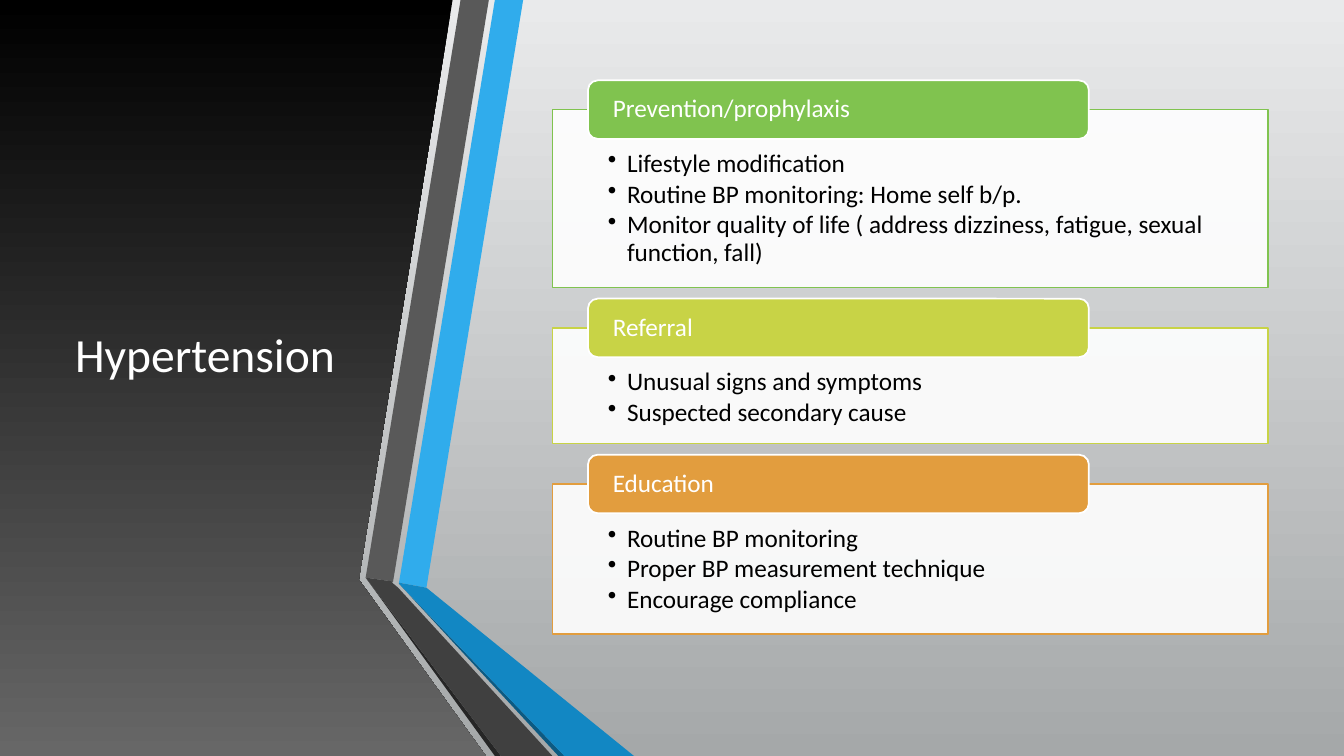
import pptx
import pptx.dml.color
import pptx.enum.shapes
import pptx.enum.text
import pptx.oxml
import pptx.oxml.ns
import pptx.util

Pt = pptx.util.Pt
RGBColor = pptx.dml.color.RGBColor
ShapeKind = pptx.enum.shapes.MSO_SHAPE
Align = pptx.enum.text.PP_ALIGN
Anchor = pptx.enum.text.MSO_ANCHOR

WHITE = RGBColor(0xFF, 0xFF, 0xFF)
BLACK = RGBColor(0x00, 0x00, 0x00)
MIST = RGBColor(0xE9, 0xEA, 0xEB)
STEEL = RGBColor(0xA5, 0xA8, 0xA9)
ASH = RGBColor(0x67, 0x67, 0x67)
SKY = RGBColor(0x30, 0xAC, 0xEC)
OCEAN = RGBColor(0x12, 0x87, 0xC3)
NAVY = RGBColor(0x0C, 0x5A, 0x82)
GRAY = RGBColor(0x59, 0x59, 0x59)
CHARCOAL = RGBColor(0x40, 0x40, 0x40)
SOOT = RGBColor(0x26, 0x26, 0x26)
GREEN = RGBColor(0x80, 0xC3, 0x4F)
LIME = RGBColor(0xC8, 0xD3, 0x46)
ORANGE = RGBColor(0xE2, 0x9D, 0x3E)

WIDTH, HEIGHT = 960, 540

# Folded ribbon, from back to front
RIBBON = [
    (SKY, [(285, 416.2), (304.6, 419.8), (373.7, 0), (353.5, 0)]),
    (GRAY, [(349.2, 0), (329, 0), (261.2, 412.6), (280.8, 415.4)]),
    (SOOT, [(261.2, 412.6), (353.5, HEIGHT), (357.8, HEIGHT)]),
    (NAVY, [(285, 416.9), (398.9, HEIGHT), (403.2, HEIGHT)]),
    (OCEAN, [(285, 416.9), (403.2, HEIGHT), (452.9, HEIGHT),
             (304.6, 419.8), (285, 416.2)]),
    (CHARCOAL, [(394.6, HEIGHT), (284.4, 419.8), (280.1, 416.2),
                (280.8, 415.4), (261.2, 412.6), (357.8, HEIGHT)]),
]
PANEL = [(0, 0), (323.3, 0), (256.3, 414), (347, HEIGHT), (0, HEIGHT)]

# Heading, colour, body height, bullets
CARDS = [
    ("Prevention/prophylaxis", GREEN, 127.1, [
        "Lifestyle modification",
        "Routine BP monitoring: Home self b/p.",
        "Monitor quality of life ( address dizziness, fatigue, sexual function, fall)"]),
    ("Referral", LIME, 82.7, [
        "Unusual signs and symptoms",
        "Suspected secondary cause"]),
    ("Education", ORANGE, 107, [
        "Routine BP monitoring",
        "Proper BP measurement technique",
        "Encourage compliance"]),
]
CARDS_TOP, CARD_GAP = 78.3, 28.8


class SlideBuilder:
    font_name = "Calibri"
    body_size = 18
    outline = 1.25
    bullet_indent = 13.7

    def __init__(self, presentation):
        self.slide = presentation.slides.add_slide(presentation.slide_layouts[6])

    def gradient(self, fill, top, bottom):
        fill.gradient()
        fill.gradient_angle = 270
        for stop, color in zip(fill.gradient_stops, (top, bottom)):
            stop.color.rgb = color

    def polygon(self, points, color=None):
        corners = [(Pt(x), Pt(y)) for x, y in points]
        builder = self.slide.shapes.build_freeform(*corners[0])
        builder.add_line_segments(corners[1:], close=True)
        shape = builder.convert_to_shape()
        shape.shadow.inherit = False
        shape.line.fill.background()
        if color is not None:
            shape.fill.solid()
            shape.fill.fore_color.rgb = color
        return shape

    def box(self, kind, bounds, fill, line):
        shape = self.slide.shapes.add_shape(kind, *map(Pt, bounds))
        shape.shadow.inherit = False
        shape.fill.solid()
        shape.fill.fore_color.rgb = fill
        shape.line.color.rgb = line
        shape.line.width = Pt(self.outline)
        return shape

    def set_text(self, shape, lines, color, size=body_size, align=Align.LEFT,
                 anchor=Anchor.MIDDLE, insets=(7.2, 3.6, 7.2, 3.6), bullets=False):
        frame = shape.text_frame
        frame.word_wrap = True
        frame.vertical_anchor = anchor
        (frame.margin_left, frame.margin_top,
         frame.margin_right, frame.margin_bottom) = map(Pt, insets)
        for index, line in enumerate(lines):
            paragraph = frame.add_paragraph() if index else frame.paragraphs[0]
            paragraph.text = line
            if bullets:
                self.bullet(paragraph)
            paragraph.alignment = align
            paragraph.line_spacing = 0.9
            paragraph.font.name = self.font_name
            paragraph.font.size = Pt(size)
            paragraph.font.color.rgb = color

    def bullet(self, paragraph):
        paragraph.level = 1
        properties = paragraph._p.get_or_add_pPr()
        properties.set("marL", str(Pt(self.bullet_indent)))
        properties.set("indent", str(-Pt(self.bullet_indent)))
        mark = pptx.oxml.parse_xml(
            f'<a:buChar {pptx.oxml.ns.nsdecls("a")} char="•"/>')
        properties.append(mark)
        paragraph.space_after = Pt(2.4)

    def title(self, text, bounds):
        shape = self.slide.shapes.add_textbox(*map(Pt, bounds))
        self.set_text(shape, [text], WHITE, size=34, align=Align.CENTER)

    def card(self, top, heading, color, height, lines):
        body = self.box(ShapeKind.RECTANGLE, (394.6, top, 511.2, height), WHITE, color)
        white = body.fill._xPr.find(".//" + pptx.oxml.ns.qn("a:srgbClr"))
        white.append(pptx.oxml.parse_xml(
            f'<a:alpha {pptx.oxml.ns.nsdecls("a")} val="90000"/>'))
        self.set_text(body, lines, BLACK, anchor=Anchor.TOP,
                      insets=(39.6, 29.5, 39.6, 10), bullets=True)
        tab = self.box(ShapeKind.ROUNDED_RECTANGLE,
                       (420, top - 20.9, 357.8, 41.8), color, WHITE)
        self.set_text(tab, [heading], WHITE, insets=(15.7, 0, 15.7, 0))


def main():
    presentation = pptx.Presentation()
    presentation.slide_width, presentation.slide_height = Pt(WIDTH), Pt(HEIGHT)
    builder = SlideBuilder(presentation)

    # Backdrop, title panel and ribbon
    builder.gradient(builder.slide.background.fill, MIST, STEEL)
    panel = builder.polygon(PANEL)
    builder.gradient(panel.fill, BLACK, ASH)
    builder.title("Hypertension", (42.5, 54, 208, 402))
    for color, points in RIBBON:
        builder.polygon(points, color)

    # Cards stacked with an equal gap
    top = CARDS_TOP
    for heading, color, height, lines in CARDS:
        builder.card(top, heading, color, height, lines)
        top += height + CARD_GAP

    presentation.save("out.pptx")


if __name__ == "__main__":
    main()
